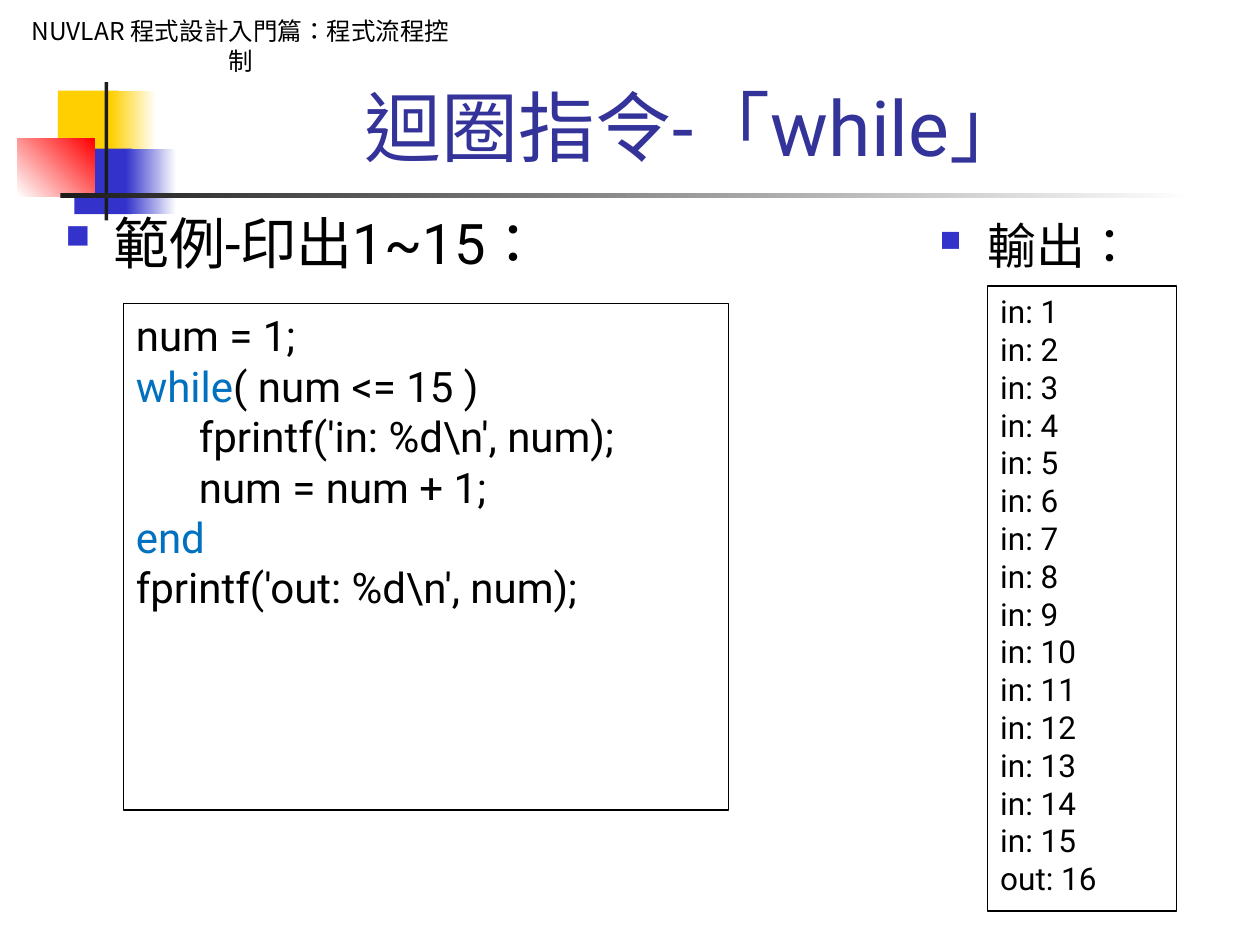
from lxml import etree
from pptx import Presentation
from pptx.dml.color import RGBColor
from pptx.enum.shapes import MSO_SHAPE
from pptx.enum.text import MSO_ANCHOR, PP_ALIGN
from pptx.oxml.ns import qn
from pptx.util import Inches, Pt

RECT = MSO_SHAPE.RECTANGLE
TOP, BOTTOM = MSO_ANCHOR.TOP, MSO_ANCHOR.BOTTOM
LEFT, CENTER = PP_ALIGN.LEFT, PP_ALIGN.CENTER
LATIN, CJK = "Roboto", "Noto Sans CJK SC"
BLACK, WHITE, DARK = "000000", "FFFFFF", "1C1C1C"
YELLOW, BLUE, RED = "FFCF01", "3333CC", "FF0000"
TITLE_BLUE, KEYWORD = "333399", "0070C0"

DECORATION = [
    ((0.46, 0.72, 0.48, 0.52), [YELLOW], 0),
    ((0.88, 0.72, 0.36, 0.52), [YELLOW, WHITE], 0),
    ((0.59, 1.18, 0.46, 0.52), [BLUE], 0),
    ((1, 1.18, 0.4, 0.52), [BLUE, WHITE], 0),
    ((0.14, 1.1, 0.61, 0.46), [WHITE, RED], 45),
    ((0.83, 0.6, 0.03, 1.15), [DARK], 0),
    ((0.48, 1.53, 9, 0.04), [DARK, WHITE], 0),
]
CODE = [
    [("num = 1;", BLACK)],
    [("while", KEYWORD), ("( num <= 15 )", BLACK)],
    [("\tfprintf('in: %d\\n', num);", BLACK)],
    [("\tnum = num + 1;", BLACK)],
    [("end", KEYWORD)],
    [("fprintf('out: %d\\n', num);", BLACK)],
]


def rgb(color):
    return RGBColor.from_string(color)


def add_rect(slide, box, colors=(), angle=0):
    s = slide.shapes.add_shape(RECT, *map(Inches, box))
    s.shadow.inherit = False
    s.line.fill.background()
    if len(colors) == 2:
        s.fill.gradient()
        s.fill.gradient_angle = angle
        for stop, color in zip(s.fill.gradient_stops, colors):
            stop.color.rgb = rgb(color)
    elif colors:
        s.fill.solid()
        s.fill.fore_color.rgb = rgb(colors[0])
    else:
        s.fill.background()
    return s


def write(s, lines, size, font=LATIN, anchor=TOP, **paragraph_format):
    tf = s.text_frame
    tf.word_wrap = True
    tf.vertical_anchor = anchor
    for i, line in enumerate(lines):
        p = tf.add_paragraph() if i else tf.paragraphs[0]
        for name, value in ({"alignment": LEFT} | paragraph_format).items():
            setattr(p, name, value)
        for text, color in line:
            r = p.add_run()
            r.text = text
            r.font.size = Pt(size)
            r.font.name = font
            r.font.color.rgb = rgb(color)
            rPr = r.font._element
            rPr.set("lang", "zh-TW")
            etree.SubElement(rPr, qn("a:ea"), typeface=CJK)


def add_text(slide, box, text, size, color=BLACK, **kwargs):
    s = slide.shapes.add_textbox(*map(Inches, box))
    write(s, [[(text, color)]], size, **kwargs)
    return s


def add_bullet(slide, box, text, size, spacing, before):
    s = add_text(slide, box, text, size,
                 line_spacing=spacing, space_before=Pt(before))
    pPr = s.text_frame.paragraphs[0]._p.get_or_add_pPr()
    pPr.set("marL", str(Inches(0.38)))
    pPr.set("indent", str(Inches(-0.38)))
    color = etree.SubElement(pPr, qn("a:buClr"))
    etree.SubElement(color, qn("a:srgbClr"), val=BLUE)
    etree.SubElement(pPr, qn("a:buSzPct"), val="60000")
    etree.SubElement(pPr, qn("a:buChar"), char="■")


def add_listing(slide, box, lines, size):
    s = add_rect(slide, box)
    s.line.color.rgb = rgb(BLACK)
    s.line.width = Pt(0.75)
    write(s, lines, size)


def main():
    prs = Presentation()
    prs.slide_width, prs.slide_height = Inches(10), Inches(7.5)
    slide = prs.slides.add_slide(prs.slide_layouts[6])

    for box, colors, angle in DECORATION:
        add_rect(slide, box, colors, angle)
    header = add_rect(slide, (0.08, 0.08, 3.66, 0.57), [WHITE])
    write(header, [[("NUVLAR 程式設計入門篇：程式流程控制", BLACK)]], 14,
          font=CJK, alignment=CENTER, space_before=Pt(8.8))
    add_text(slide, (1.26, 0.58, 8.52, 0.83), "迴圈指令-「while」", 44,
             TITLE_BLUE, anchor=BOTTOM, alignment=CENTER)

    add_bullet(slide, (0.42, 1.75, 9.38, 0.5), "範例-印出1~15：", 32, 0.7, 8)
    add_listing(slide, (0.98, 2.41, 4.8, 4.02), CODE, 24)

    add_bullet(slide, (7.36, 1.75, 2.12, 0.5), "輸出：", 28, 0.8, 7)
    output = [f"in: {n}" for n in range(1, 16)] + ["out: 16"]
    add_listing(slide, (7.84, 2.27, 1.5, 4.96),
                [[(text, BLACK)] for text in output], 18)

    prs.save("out.pptx")


if __name__ == "__main__":
    main()
